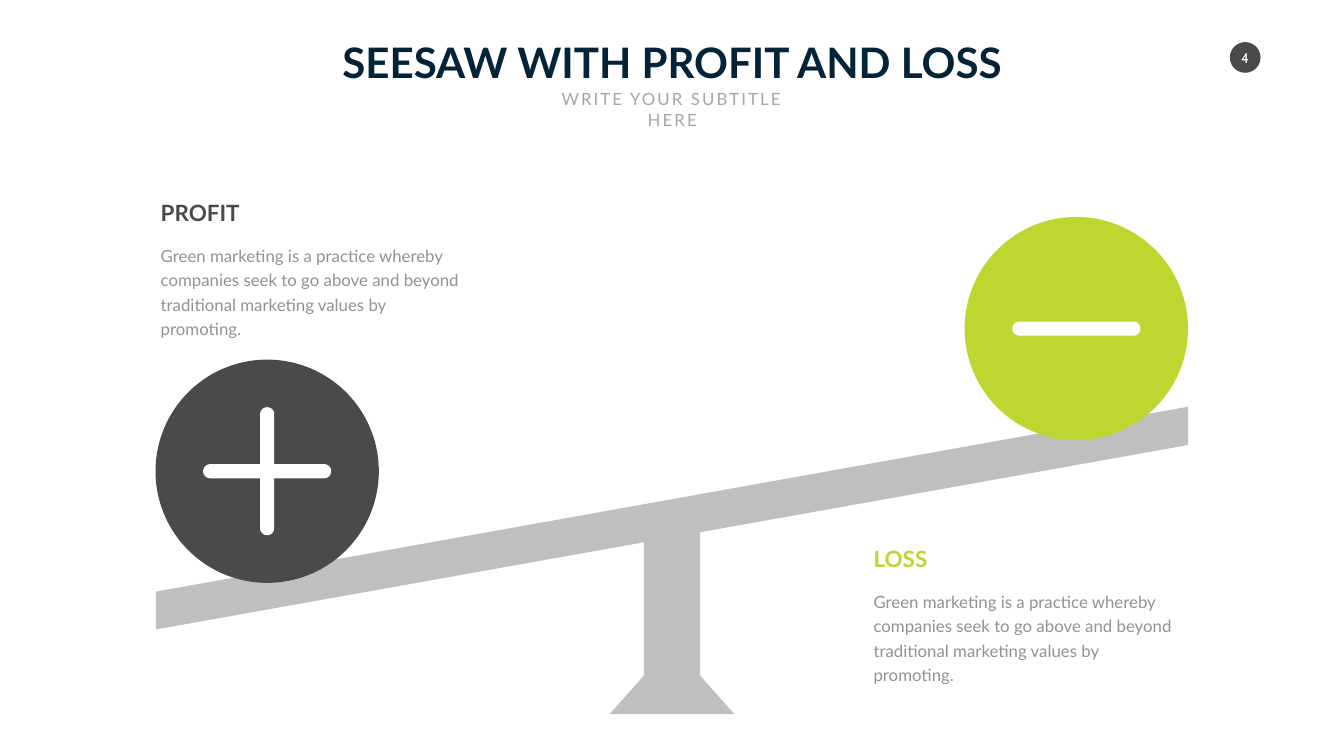
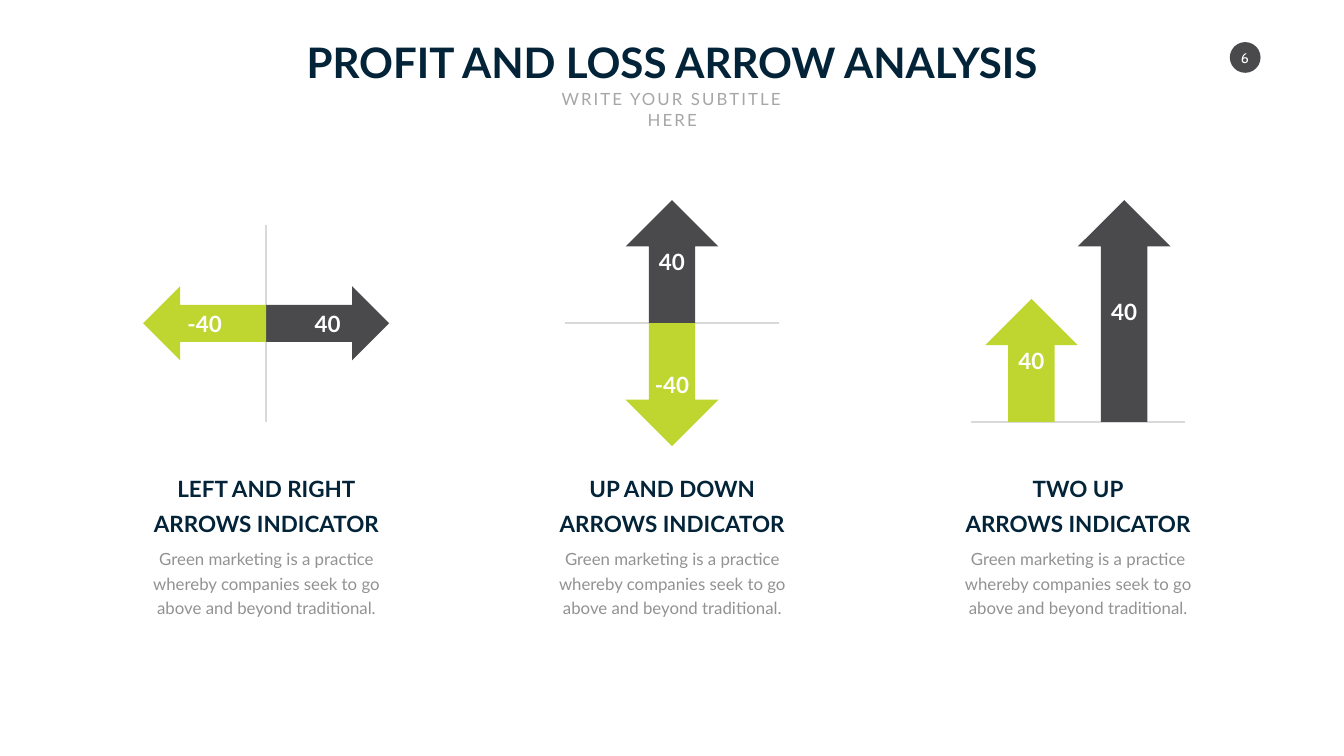
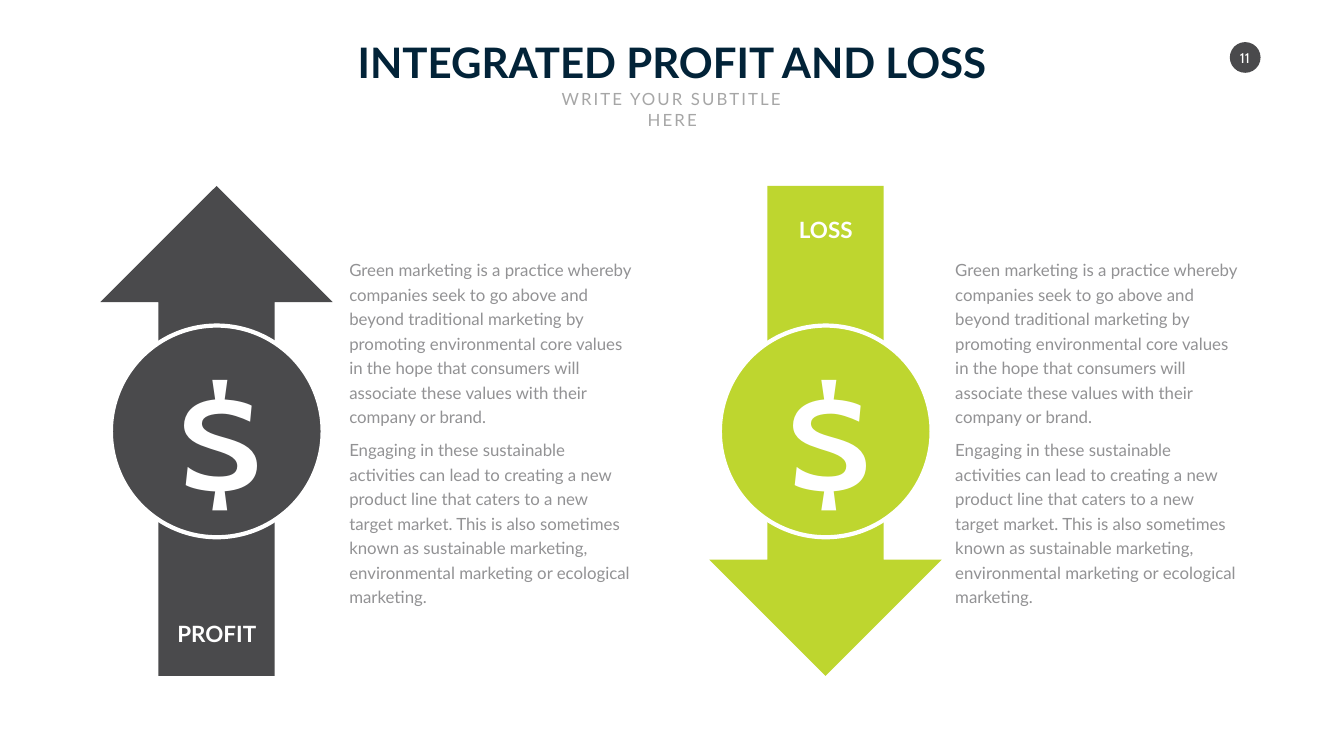
from dataclasses import dataclass
from math import cos, hypot, radians, sin

from lxml import etree
from pptx import Presentation, util as u
from pptx.dml.color import RGBColor
from pptx.enum import shapes, text
from pptx.oxml.ns import qn

KIND = shapes.MSO_SHAPE
ALIGN = text.PP_ALIGN
ANCHOR = text.MSO_ANCHOR


@dataclass(frozen=True)
class Theme:
    wide: float = 26.66
    high: float = 15
    dark: str = "4A4A4C"
    lime: str = "BED62F"
    navy: str = "022338"
    gray: str = "929294"
    pale: str = "A6A6A6"
    beam: str = "BFBFBF"
    rule: str = "D9D9D9"
    white: str = "FFFFFF"
    main: str = "Lato"
    digit: str = "Cabin"
    title: int = 60
    head: int = 32
    body: int = 24
    page: int = 20
    coin: int = 239
    lead: int = 35


T = Theme()
INTRO = "Green marketing is a practice whereby companies seek to go above and beyond traditional"
STORY = [
    "Green marketing is a practice whereby companies seek to go above and beyond "
    "traditional marketing by promoting environmental core values in the hope that "
    "consumers will associate these values with their company or brand.",
    "Engaging in these sustainable activities can lead to creating a new product line "
    "that caters to a new target market. This is also sometimes known as sustainable "
    "marketing, environmental marketing or ecological marketing.",
]


def inch(*nums):
    return [u.Inches(n) for n in nums]


def tint(fill, color):
    fill.solid()
    fill.fore_color.rgb = RGBColor.from_string(color)


def paint(shape, color, edge=None):
    shape.shadow.inherit = False
    tint(shape.fill, color)
    if edge:
        tint(shape.line.fill, T.white)
        shape.line.width = u.Pt(edge)
    else:
        shape.line.fill.background()
    return shape


def write(tree, at, lines, size, color, bold=False, name=T.main, wrap=False,
          anchor=ANCHOR.TOP, align=ALIGN.CENTER, lead=None, after=None, track=None,
          inset=None):
    """Add a text box at (left, top, width, height), one paragraph per line."""
    frame = tree.add_textbox(*inch(*at)).text_frame
    look = {"word_wrap": wrap, "vertical_anchor": anchor,
            "auto_size": text.MSO_AUTO_SIZE.SHAPE_TO_FIT_TEXT}
    if inset is not None:
        look.update({f"margin_{side}": u.Inches(inset)
                     for side in ("left", "top", "right", "bottom")})
    for key, val in look.items():
        setattr(frame, key, val)
    form = {"alignment": align, "line_spacing": lead and u.Pt(lead),
            "space_after": after and u.Pt(after)}
    face = {"size": u.Pt(size), "bold": bold, "name": name}
    for i, line in enumerate(lines):
        para = frame.add_paragraph() if i else frame.paragraphs[0]
        for key, val in form.items():
            if val is not None:
                setattr(para, key, val)
        run = para.add_run()
        run.text = line
        for key, val in face.items():
            setattr(run.font, key, val)
        run.font.color.rgb = RGBColor.from_string(color)
        if track:
            run.font._element.set("spc", str(track * 100))


def label(tree, x, y, wide, words, color=T.white, **more):
    """Add a bold one-line heading centred on (x, y)."""
    at = (x - wide / 2, y - 0.32, wide, 0.64)
    write(tree, at, [words], T.head, color, bold=True, **more)


def prose(tree, at, lines, **more):
    write(tree, at, lines, T.body, T.gray, wrap=True, lead=T.lead, **more)


def disc(tree, x, y, size, color, edge=None):
    at = inch(x - size / 2, y - size / 2, size, size)
    return paint(tree.add_shape(KIND.OVAL, *at), color, edge)


def trace(tree, points, color):
    """Fill the closed outline through points given in inches."""
    spots = [inch(*p) for p in points]
    pen = tree.build_freeform(*spots[0], scale=1.0)
    pen.add_line_segments(spots[1:], close=True)
    paint(pen.convert_to_shape(), color)


def sign(tree, x, y, turns):
    """Draw round-ended arms that leave (x, y) at the given angles."""
    half, reach = 0.14, 1.27
    points = []
    for turn in turns:
        a = radians(turn)
        hub = (x + (reach - half) * cos(a), y + (reach - half) * sin(a))
        for step in range(-90, 91, 10):
            b = radians(turn + step)
            points.append((hub[0] + half * cos(b), hub[1] + half * sin(b)))
        if len(turns) > 2:
            b = radians(turn + 45)
            bend = hypot(half, half)
            points.append((x + bend * cos(b), y + bend * sin(b)))
    trace(tree, points, T.white)


def rule(tree, x1, y1, x2, y2):
    line = tree.add_connector(shapes.MSO_CONNECTOR.STRAIGHT, *inch(x1, y1, x2, y2))
    tint(line.line.fill, T.rule)
    line.line.width = u.Pt(3)
    etree.SubElement(line._element.spPr, qn("a:effectLst"))


def arrow(tree, kind, at, color):
    return paint(tree.add_shape(kind, *inch(*at)), color)


def gauge(tree, kind, at, color, value):
    """Add an arrow with its value at the centre."""
    arrow(tree, kind, at, color)
    x, y, wide, high = at
    label(tree, x + wide / 2, y + high / 2, 1.06 if value < 0 else 0.8, str(value),
          anchor=ANCHOR.BOTTOM)


def page(deck, num, title, wide):
    """Start a slide with its page badge, title and subtitle."""
    tree = deck.slides.add_slide(deck.slide_layouts[6]).shapes
    disc(tree, 24.7, 1.14, 0.61, T.dark)
    write(tree, (24.49, 0.97, 0.41, 0.34), [str(num)], T.page, T.white,
          name=T.digit, anchor=ANCHOR.MIDDLE, inset=0)
    write(tree, ((T.wide - wide) / 2, 0.67, wide, 1.11), [title], T.title, T.navy,
          bold=True)
    write(tree, (10.62, 1.72, 5.43, 0.5), ["WRITE YOUR SUBTITLE HERE"], T.body,
          T.pale, wrap=True, track=3)
    return tree


def seesaw(deck):
    tree = page(deck, 4, "SEESAW WITH PROFIT AND LOSS", 13.52)
    trace(tree, [(23.57, 8.07), (23.57, 8.83), (13.89, 10.56), (13.89, 13.41),
                 (14.57, 14.17), (12.09, 14.17), (12.77, 13.41), (12.77, 10.76),
                 (3.09, 12.49), (3.09, 11.74)], T.beam)
    sides = [
        ("PROFIT", T.dark, 5.3, 9.35, range(0, 360, 90), 3.09, 3.89, 1.77),
        ("LOSS", T.lime, 21.35, 6.52, (0, 180), 17.23, 10.76, 1.32),
    ]
    for words, color, x, y, turns, left, top, wide in sides:
        disc(tree, x, y, 4.43, color)
        sign(tree, x, y, turns)
        label(tree, left + wide / 2, top + 0.32, wide, words, color,
              anchor=ANCHOR.BOTTOM, align=ALIGN.LEFT)
        prose(tree, (left, top + 0.84, 6.34, 1.52),
              [INTRO + " marketing values by promoting."], align=ALIGN.LEFT)


def arrows(deck):
    tree = page(deck, 6, "PROFIT AND LOSS ARROW ANALYSIS", 15.21)
    mids = [5.28 + 8.05 * i for i in range(3)]
    axis, base, long, span = 6.41, 8.37, 2.44, 1.84
    heads = ["LEFT AND RIGHT", "UP AND DOWN", "TWO UP"]
    for x, head in zip(mids, heads):
        write(tree, (x - 2.41, 9.24, 4.83, 1.46), [head, "ARROWS INDICATOR"], T.head,
              T.navy, bold=True, anchor=ANCHOR.BOTTOM, lead=50)
        prose(tree, (x - 2.43, 10.76, 4.87, 1.52), [INTRO + "."])

    flat, tall, pair = mids
    rule(tree, flat, 4.46, flat, base)
    gauge(tree, KIND.RIGHT_ARROW, (flat, 5.68, long, 1.47), T.dark, 40)
    gauge(tree, KIND.LEFT_ARROW, (flat - long, 5.68, long, 1.47), T.lime, -40)

    for x, y in ((tall, axis), (pair, base)):
        rule(tree, x + 2.12, y, x - 2.12, y)
    left = tall - span / 2
    gauge(tree, KIND.UP_ARROW, (left, axis - long, span, long), T.dark, 40)
    gauge(tree, KIND.DOWN_ARROW, (left, axis, span, long), T.lime, -40)
    gauge(tree, KIND.UP_ARROW, (pair - span, base - long, span, long), T.lime, 40)
    gauge(tree, KIND.UP_ARROW, (pair, base - 4.4, span, 4.4), T.dark, 40)


def coins(deck):
    tree = page(deck, 11, "INTEGRATED PROFIT AND LOSS", 12.86)
    sides = [
        ("PROFIT", KIND.UP_ARROW, T.dark, 4.3, 12.57, 1.77, 6.83),
        ("LOSS", KIND.DOWN_ARROW, T.lime, 16.38, 4.56, 1.32, 18.85),
    ]
    for words, kind, color, x, y, wide, left in sides:
        unit = tree.add_group_shape().shapes
        arrow(unit, kind, (x - 2.31, 3.69, 4.61, 9.72), color)
        disc(unit, x, 8.56, 4.2, color, edge=6)
        write(unit, (x - 1.13, 6.64, 2.41, 4.12), ["$"], T.coin, T.white,
              name=T.digit, anchor=ANCHOR.MIDDLE)
        label(unit, x, y, wide, words, anchor=ANCHOR.MIDDLE)
        prose(tree, (left, 5.26, 5.82, 6.6), STORY, anchor=ANCHOR.MIDDLE,
              align=ALIGN.LEFT, after=12)


def main():
    deck = Presentation()
    deck.slide_width, deck.slide_height = inch(T.wide, T.high)
    for build in (seesaw, arrows, coins):
        build(deck)
    deck.save("out.pptx")


if __name__ == "__main__":
    main()
